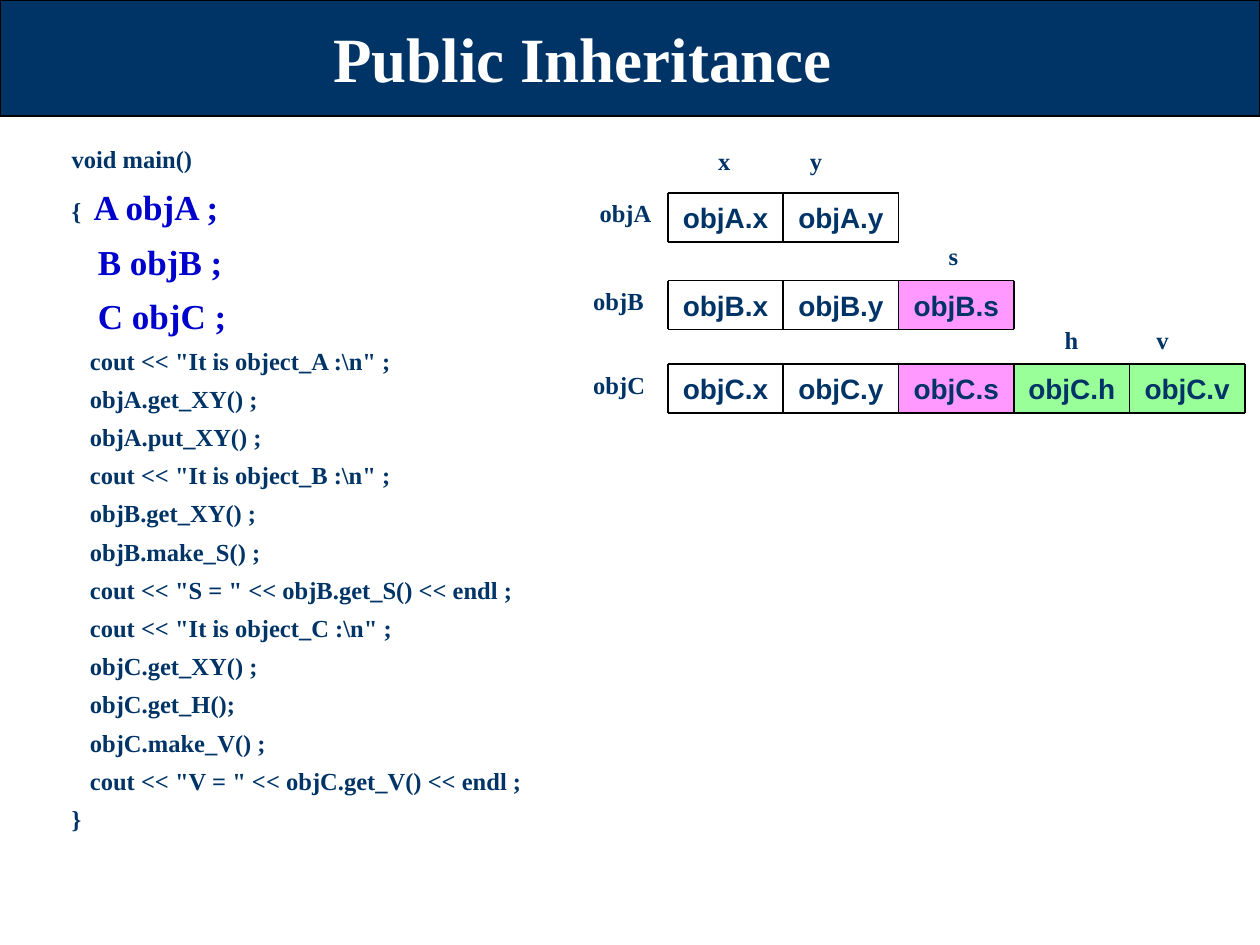
from dataclasses import dataclass

from lxml.etree import SubElement
from pptx import Presentation
from pptx.dml.color import RGBColor
from pptx.enum.shapes import MSO_CONNECTOR as Connector, MSO_SHAPE as Shape
from pptx.enum.text import MSO_ANCHOR as Anchor, PP_ALIGN as Align
from pptx.oxml.ns import qn
from pptx.util import Inches, Pt

COLORS = {
    "navy": "003366",
    "blue": "0000CC",
    "black": "000000",
    "white": "FFFFFF",
    "pink": "FF99FF",
    "green": "99FF99",
}
SLIDE_WIDTH, SLIDE_HEIGHT = Inches(10), Inches(7.5)
SERIF, SANS = "Times New Roman", "Arial"

GRID_LEFT, COLUMN_WIDTH, ROW_HEIGHT = 53, 9.16, 5.17
MEMBERS = "xyshv"
MEMBER_FILLS = ["white", "white", "pink", "green", "green"]


@dataclass
class Box:
    left: float
    top: float
    width: float
    height: float

    def place(self) -> tuple[int, int, int, int]:
        return (across(self.left), down(self.top), across(self.width), down(self.height))


@dataclass
class ObjectRow:
    name: str
    top: float
    members: int
    label_left: float


@dataclass
class Caption:
    text: str
    box: Box
    align: Align = Align.LEFT
    tab: float = 0


OBJECT_ROWS = [
    ObjectRow("objA", 20.4, 2, 46.6),
    ObjectRow("objB", 29.7, 3, 46.1),
    ObjectRow("objC", 38.55, 5, 46.1),
]
CAPTIONS = [
    Caption("x\ty", Box(56, 14.8, 12.8, 4.5), tab=7.3),
    Caption("s", Box(74.3, 24.8, 2.7, 4.5), Align.CENTER),
    Caption("h\tv", Box(83.5, 33.73, 12.8, 4.5), tab=7.3),
]
DECLARATIONS = [("{  ", "A objA ;"), ("", "   B objB ;"), ("", "   C objC ;")]
STATEMENTS = r'''   cout << "It is object_A :\n" ;
   objA.get_XY() ;
   objA.put_XY() ;
   cout << "It is object_B :\n" ;
   objB.get_XY() ;
   objB.make_S() ;
   cout << "S = " << objB.get_S() << endl ;
   cout << "It is object_C :\n" ;
   objC.get_XY() ;
   objC.get_H();
   objC.make_V() ;
   cout << "V = " << objC.get_V() << endl ;
}'''.splitlines()


def across(percent: float) -> int:
    return round(SLIDE_WIDTH * percent / 100)


def down(percent: float) -> int:
    return round(SLIDE_HEIGHT * percent / 100)


def rgb(color: str) -> RGBColor:
    return RGBColor.from_string(COLORS[color])


def write(paragraph, text: str, *, size: float = 14, font: str = SERIF,
          color: str = "navy", align: Align = Align.LEFT) -> None:
    paragraph.alignment = align
    run = paragraph.add_run()
    run.text = text
    run.font.size, run.font.name, run.font.bold = Pt(size), font, True
    run.font.color.rgb = rgb(color)


def draw_rectangle(shapes, box: Box, fill: str):
    rectangle = shapes.add_shape(Shape.RECTANGLE, *box.place())
    rectangle.shadow.inherit = False
    rectangle.fill.solid()
    rectangle.fill.fore_color.rgb = rgb(fill)
    rectangle.line.fill.background()
    return rectangle


def draw_rule(shapes, x1: float, y1: float, x2: float, y2: float) -> None:
    rule = shapes.add_connector(Connector.STRAIGHT, across(x1), down(y1), across(x2), down(y2))
    rule.line.color.rgb = rgb("black")
    rule.line.width = Pt(1)
    SubElement(rule.element.spPr, qn("a:effectLst"))


def draw_caption(shapes, caption: Caption) -> None:
    frame = shapes.add_textbox(*caption.box.place()).text_frame
    frame.word_wrap = caption.tab > 0
    paragraph = frame.paragraphs[0]
    if caption.tab:
        tabs = SubElement(paragraph._p.get_or_add_pPr(), qn("a:tabLst"))
        SubElement(tabs, qn("a:tab"), pos=str(across(caption.tab)), algn="l")
    write(paragraph, caption.text, align=caption.align)


def draw_object(shapes, row: ObjectRow) -> None:
    edges = [GRID_LEFT + COLUMN_WIDTH * column for column in range(row.members + 1)]
    bottom = row.top + ROW_HEIGHT
    for left, member, fill in zip(edges[:-1], MEMBERS, MEMBER_FILLS):
        cell = draw_rectangle(shapes, Box(left, row.top, COLUMN_WIDTH, ROW_HEIGHT), fill)
        frame = cell.text_frame
        frame.word_wrap, frame.vertical_anchor = True, Anchor.MIDDLE
        write(frame.paragraphs[0], f"{row.name}.{member}",
              size=16, font=SANS, align=Align.CENTER)
    for y in (row.top, bottom):
        draw_rule(shapes, edges[0], y, edges[-1], y)
    for x in edges:
        draw_rule(shapes, x, row.top, x, bottom)
    draw_caption(shapes, Caption(row.name, Box(row.label_left, row.top - 0.1, 6.1, 4.5)))


def draw_code(shapes) -> None:
    frame = shapes.add_textbox(*Box(4.7, 13.6, 52.7, 75.3).place()).text_frame
    frame.word_wrap = True
    lines = [("void main()", ""), *DECLARATIONS, *((line, "") for line in STATEMENTS)]
    for number, (plain, declared) in enumerate(lines):
        paragraph = frame.add_paragraph() if number else frame.paragraphs[0]
        paragraph.line_spacing = 1.3
        if plain:
            write(paragraph, plain)
        if declared:
            write(paragraph, declared, size=20, color="blue")


def draw_title(shapes) -> None:
    title = shapes.title
    title.left, title.top, title.width, title.height = Box(2.5, 1.07, 87.5, 10).place()
    frame = title.text_frame
    frame.word_wrap, frame.vertical_anchor = True, Anchor.MIDDLE
    write(frame.paragraphs[0], "Public Inheritance", size=36, color="white", align=Align.CENTER)
    shapes.element.append(title.element)


def main() -> None:
    deck = Presentation()
    deck.slide_width, deck.slide_height = SLIDE_WIDTH, SLIDE_HEIGHT
    shapes = deck.slides.add_slide(deck.slide_layouts.get_by_name("Title Only")).shapes
    banner = draw_rectangle(shapes, Box(0, 0, 100, 12.27), "navy")
    banner.line.color.rgb = rgb("black")
    banner.line.width = Pt(0.75)
    draw_code(shapes)
    for row in OBJECT_ROWS:
        draw_object(shapes, row)
    for caption in CAPTIONS:
        draw_caption(shapes, caption)
    draw_title(shapes)
    deck.save("out.pptx")


if __name__ == "__main__":
    main()
